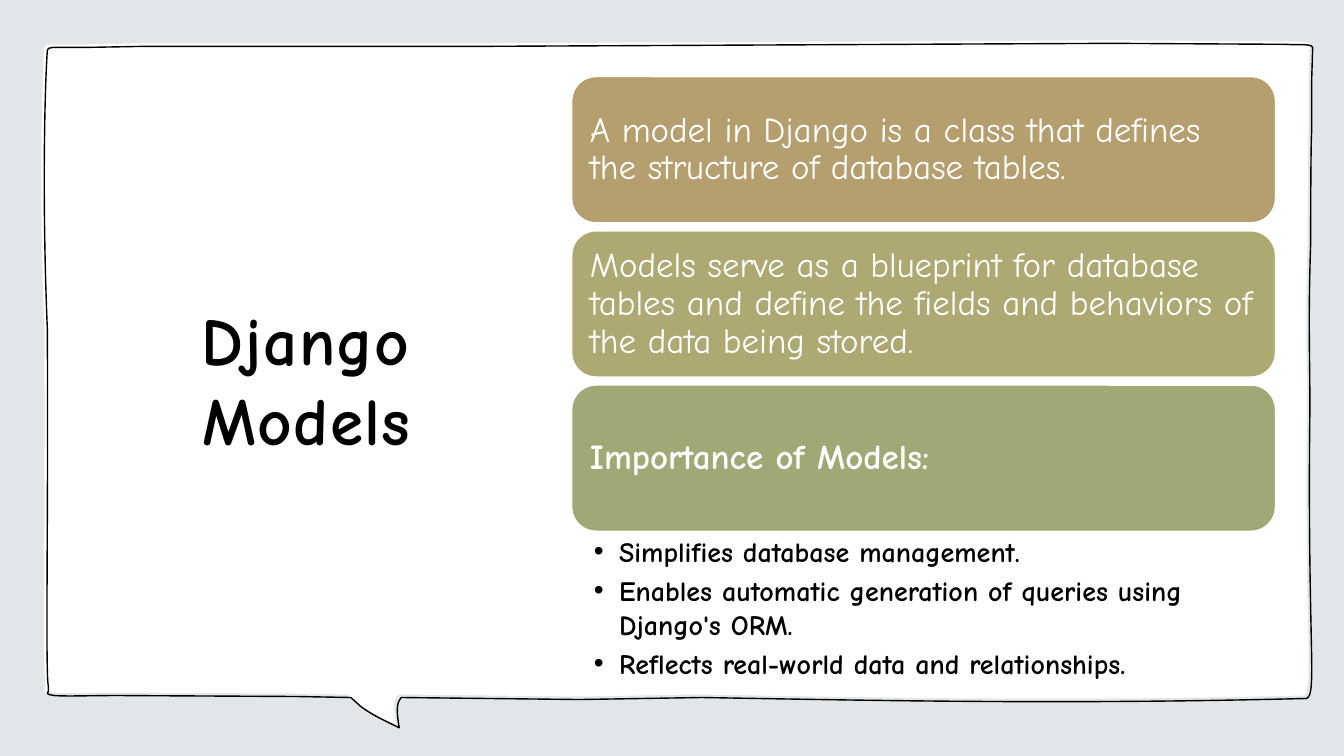
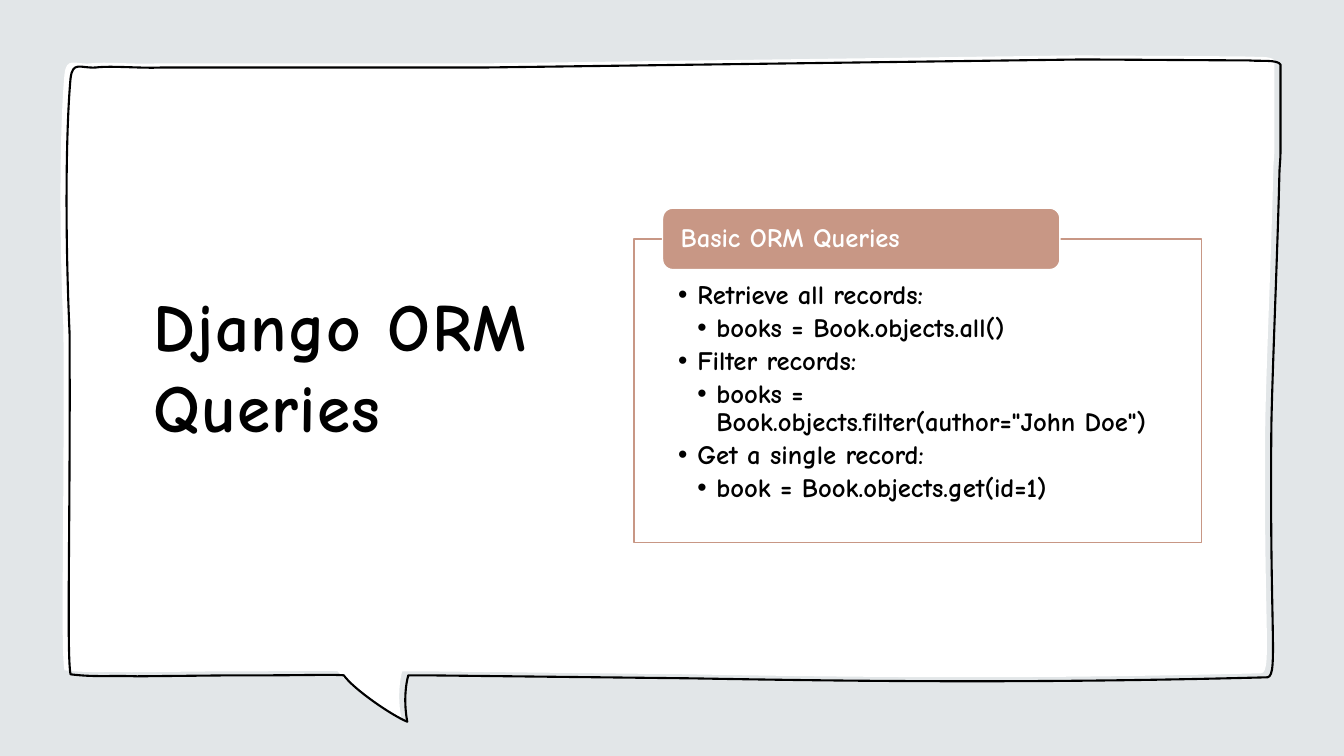
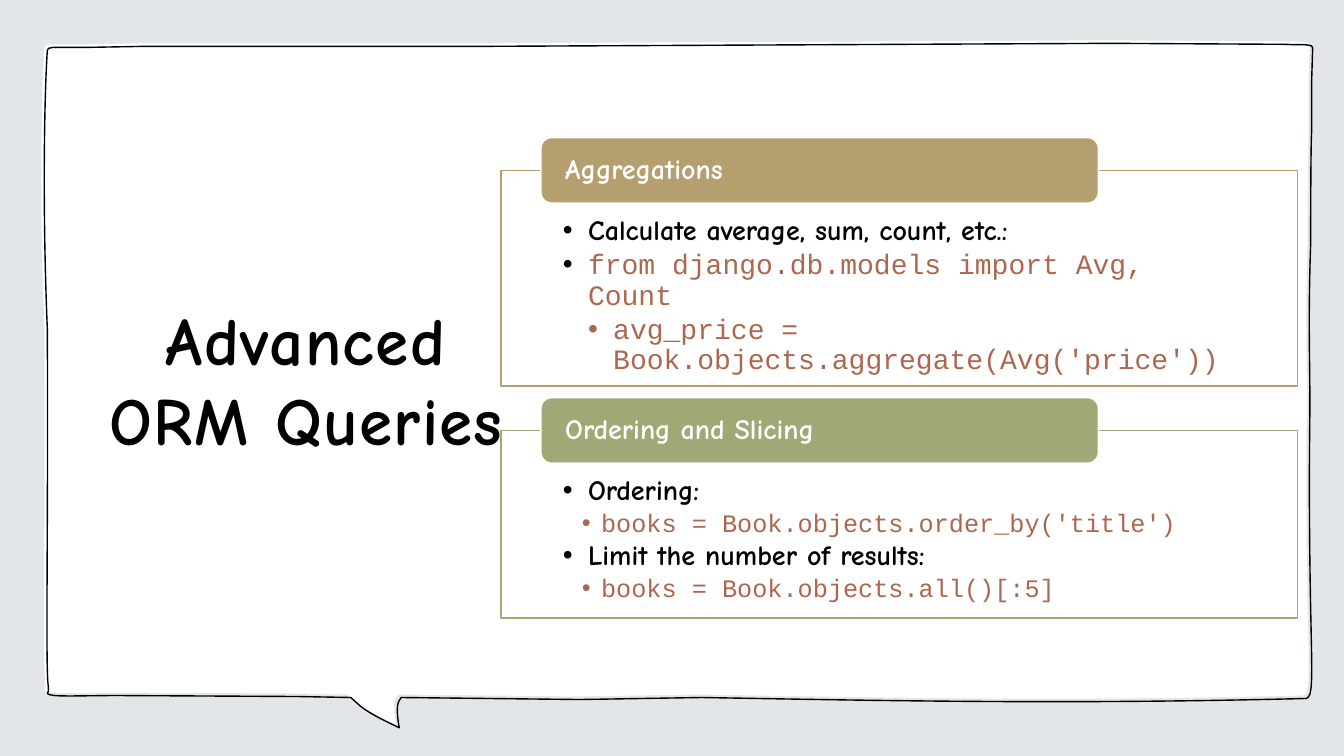
import pptx
import pptx.util
import pptx.dml.color
import pptx.enum.shapes
import pptx.enum.text
import pptx.oxml
import pptx.oxml.ns

Inches = pptx.util.Inches
Pt = pptx.util.Pt
SHAPE = pptx.enum.shapes.MSO_SHAPE
ANCHOR = pptx.enum.text.MSO_ANCHOR
ALIGN = pptx.enum.text.PP_ALIGN
NS = pptx.oxml.ns.nsdecls("a")

COLORS = {
    "page": "E2E6E8",
    "white": "FFFFFF",
    "black": "000000",
    "tan": "B59F6F",
    "olive": "AEA872",
    "green": "A2A776",
    "rose": "C89785",
    "code": "AC674E",
}
FONT = "Comic Neue"
CODE_FONT = "Courier New"

WIDE_BUBBLE = [
    (10.99, 0.4), (12.73, 0.41),
    (12.86, 0.42, 12.97, 0.4, 12.99, 0.44), (12.98, 0.76),
    (12.98, 0.93, 12.98, 1.1, 12.98, 1.27),
    (12.97, 1.4, 12.97, 2.33, 12.97, 2.39),
    (12.94, 3.27, 12.97, 3.63, 12.96, 4.22),
    (12.94, 6.54, 13.05, 6.93, 12.9, 6.9),
    (10.53, 6.96, 8.69, 6.92, 6.93, 6.89),
    (5.72, 6.91), (3.95, 6.89), (3.93, 6.92),
    (3.9, 6.97, 3.91, 7.07, 3.93, 7.19),
    (3.81, 7.13, 3.67, 7.07, 3.55, 6.98),
    (3.45, 6.89), (2.92, 6.88), (1.14, 6.87),
    (0.86, 6.87, 0.63, 6.88, 0.51, 6.87),
    (0.4, 6.85, 0.46, 6.87, 0.45, 6.78),
    (0.42, 6.63, 0.45, 5.19, 0.44, 3.23),
    (0.39, 2.04, 0.41, 0.93, 0.44, 0.47),
    (0.45, 0.46, 0.45, 0.45, 0.45, 0.45),
    (0.5, 0.44), (0.74, 0.44), (0.86, 0.44), (1.4, 0.43), (4.77, 0.43),
    (10.99, 0.4),
]
NARROW_BUBBLE = [
    (10.68, 0.55), (12.33, 0.56),
    (12.45, 0.57, 12.61, 0.55, 12.64, 0.6), (12.64, 1.49), (12.64, 1.49),
    (12.64, 1.55, 12.63, 1.62, 12.63, 1.68),
    (12.61, 2.5, 12.56, 3.63, 12.55, 4.19),
    (12.53, 6.37, 12.63, 6.7, 12.49, 6.68),
    (10.23, 6.74, 8.48, 6.72, 6.8, 6.69),
    (4.16, 6.66), (3.99, 6.66),
    (3.99, 6.66, 3.93, 6.85, 3.98, 7.12),
    (3.83, 7.06, 3.45, 6.8, 3.35, 6.66),
    (3.26, 6.65, 2.94, 6.66, 2.56, 6.66),
    (2.25, 6.66), (1.3, 6.67),
    (1.03, 6.66, 0.89, 6.68, 0.64, 6.65),
    (0.6, 6.44, 0.64, 5.1, 0.63, 3.26),
    (0.58, 2.14, 0.6, 1.17, 0.64, 0.74),
    (0.66, 0.56, 0.74, 0.64, 0.89, 0.63),
    (1.04, 0.61, 1.34, 0.64, 1.54, 0.63), (4.75, 0.63), (10.68, 0.55),
]


def rgb(name):
    return pptx.dml.color.RGBColor.from_string(COLORS[name])


def add_text(tf, text, size=20, color="black", font=FONT, bold=True, align=None,
             line=1.0, gap=0, left=0, hang=0, bullet=None, tracking=0):
    p = tf.paragraphs[0]
    if p.runs:
        p = tf.add_paragraph()
    p.alignment = align or ALIGN.LEFT
    p.line_spacing = line
    p.space_after = Pt(gap * size)
    r = p.add_run()
    r.text = text
    r.font.size = Pt(size)
    r.font.name = font
    r.font.bold = bold
    r.font.color.rgb = rgb(color)
    if tracking:
        r.font._element.set("spc", str(tracking * 100))
    if bullet:
        pPr = p._p.get_or_add_pPr()
        pPr.set("marL", str(Inches(left)))
        pPr.set("indent", str(-Inches(hang)))
        for xml in (f'<a:buClr {NS}><a:srgbClr val="{COLORS[bullet]}"/></a:buClr>',
                    f'<a:buFont {NS} typeface="Arial"/>',
                    f'<a:buChar {NS} char="•"/>'):
            pPr.append(pptx.oxml.parse_xml(xml))


class Deck:
    def __init__(self):
        self.prs = pptx.Presentation()
        self.prs.slide_width = Inches(13.33)
        self.prs.slide_height = Inches(7.5)
        self.s = None

    def new_slide(self):
        self.s = self.prs.slides.add_slide(self.prs.slide_layouts[6])
        fill = self.s.background.fill
        fill.solid()
        fill.fore_color.rgb = rgb("page")

    def paint(self, sp, fill=None, line=None, width=1, opacity=100):
        sp.shadow.inherit = False
        if fill:
            sp.fill.solid()
            sp.fill.fore_color.rgb = rgb(fill)
            if opacity < 100:
                color = sp._element.spPr.xpath("./a:solidFill/a:srgbClr")[0]
                color.append(pptx.oxml.parse_xml(f'<a:alpha {NS} val="{opacity * 1000}"/>'))
        else:
            sp.fill.background()
        if line:
            sp.line.color.rgb = rgb(line)
            sp.line.width = Pt(width)
        else:
            sp.line.fill.background()

    def frame_text(self, sp, anchor, left=0.1, top=0.05, right=0.1, bottom=0.05):
        tf = sp.text_frame
        tf.word_wrap = True
        tf.vertical_anchor = anchor
        tf.margin_left, tf.margin_top = Inches(left), Inches(top)
        tf.margin_right, tf.margin_bottom = Inches(right), Inches(bottom)
        return tf

    def outline(self, parts, dx=0, dy=0, **look):
        points = [(Inches(x + dx), Inches(y + dy))
                  for part in parts for x, y in zip(part[::2], part[1::2])]
        builder = self.s.shapes.build_freeform(*points[0])
        builder.add_line_segments(points[1:], close=True)
        sp = builder.convert_to_shape()
        segments = iter(sp._element.xpath(".//a:lnTo"))
        for part in parts[1:]:
            segment = next(segments)
            if len(part) == 6:
                segment.tag = pptx.oxml.ns.qn("a:cubicBezTo")
                for extra in (next(segments), next(segments)):
                    segment.append(extra[0])
                    extra.getparent().remove(extra)
        self.paint(sp, **look)

    def bubble(self, parts, dx, dy, width):
        self.outline(parts, fill="white")
        self.outline(parts, dx, dy, line="black", width=width)

    def box(self, kind, x, y, w, h, **look):
        sp = self.s.shapes.add_shape(kind, Inches(x), Inches(y), Inches(w), Inches(h))
        self.paint(sp, **look)
        return sp

    def textbox(self, x, y, w, h):
        return self.s.shapes.add_textbox(Inches(x), Inches(y), Inches(w), Inches(h))

    def title(self, text, x=0.97, y=1.07, w=4.14, h=5.37, align=ALIGN.CENTER):
        tf = self.frame_text(self.textbox(x, y, w, h), ANCHOR.MIDDLE)
        add_text(tf, text, size=48, align=align, tracking=1)

    def card(self, text, x, y, w, h, color, bold):
        sp = self.box(SHAPE.ROUNDED_RECTANGLE, x, y, w, h, fill=color, line="white")
        tf = self.frame_text(sp, ANCHOR.MIDDLE, 0.11, 0.1, 0.13, 0.1)
        add_text(tf, text, size=25, color="white", bold=bold, line=0.9)

    def panel(self, heading, items, x, y, w, h, tab_h, color, size):
        sp = self.box(SHAPE.RECTANGLE, x, y, w, h, fill="white", line=color, opacity=90)
        side = 0.0775 * w
        tf = self.frame_text(sp, ANCHOR.TOP, side, 0.7 * tab_h, side, 0.15)
        for text, fmt in items:
            add_text(tf, text, **{"size": size, "line": 0.9, "gap": 0.15, **fmt})
        tab = self.box(SHAPE.ROUNDED_RECTANGLE, x + 0.05 * w, y - tab_h / 2,
                       0.7 * w, tab_h, fill=color, line="white")
        side = 0.0265 * w
        tf = self.frame_text(tab, ANCHOR.MIDDLE, side, 0, side, 0)
        add_text(tf, heading, size=size, color="white", line=0.9)


def bullet_format(left, hang, bullet="black", **more):
    return {"left": left, "hang": hang, "bullet": bullet, **more}


def models_slide(deck):
    deck.new_slide()
    deck.bubble(WIDE_BUBBLE, 0.03, 0.03, 1)
    deck.title("Django Models")
    cards = [
        ("A model in Django is a class that defines the structure of database tables.",
         "tan", False),
        ("Models serve as a blueprint for database tables and define the fields "
         "and behaviors of the data being stored.", "olive", False),
        ("Importance of Models:", "green", True),
    ]
    for i, (text, color, bold) in enumerate(cards):
        deck.card(text, 5.67, 0.76 + 1.53 * i, 6.98, 1.45, color, bold)
    tf = deck.frame_text(deck.textbox(5.67, 5.27, 6.98, 1.47), ANCHOR.TOP,
                         0.22, 0.03, 0.16, 0.03)
    for text in ("Simplifies database management.",
                 "Enables automatic generation of queries using Django's ORM.",
                 "Reflects real-world data and relationships."):
        add_text(tf, text, gap=0.2, **bullet_format(0.25, 0.25))


def queries_slide(deck):
    deck.new_slide()
    deck.bubble(NARROW_BUBBLE, 0.06, 0.04, 1.5)
    deck.title("Django ORM Queries", 1.42, 1.14, 4.05, 4.97, ALIGN.LEFT)
    topic, example = bullet_format(0.19, 0.19), bullet_format(0.38, 0.19)
    deck.panel("Basic ORM Queries", [
        ("Retrieve all records:", topic),
        ("books = Book.objects.all()", example),
        ("Filter records:", topic),
        ('books = Book.objects.filter(author="John Doe")', example),
        ("Get a single record:", topic),
        ("book = Book.objects.get(id=1)", example),
    ], 6.29, 2.37, 5.63, 3.01, 0.61, "rose", 19)


def advanced_slide(deck):
    deck.new_slide()
    deck.bubble(WIDE_BUBBLE, 0.03, 0.03, 1)
    deck.title("Advanced ORM Queries")
    code = {"font": CODE_FONT, "color": "code", "bold": False}
    topic = bullet_format(0.25, 0.25)
    example = bullet_format(0.38, 0.19, "code", size=18, **code)
    deck.panel("Aggregations", [
        ("Calculate average, sum, count, etc.:", topic),
        ("from django.db.models import Avg, Count", {**topic, **code}),
        ("avg_price = Book.objects.aggregate(Avg('price'))",
         bullet_format(0.5, 0.25, "code", **code)),
    ], 4.97, 1.69, 7.9, 2.14, 0.65, "tan", 20)
    deck.panel("Ordering and Slicing", [
        ("Ordering:", topic),
        ("books = Book.objects.order_by('title')", example),
        ("Limit the number of results:", topic),
        ("books = Book.objects.all()[:5]", example),
    ], 4.97, 4.27, 7.9, 1.86, 0.65, "green", 20)


def main():
    deck = Deck()
    models_slide(deck)
    queries_slide(deck)
    advanced_slide(deck)
    deck.prs.save("out.pptx")


if __name__ == "__main__":
    main()
